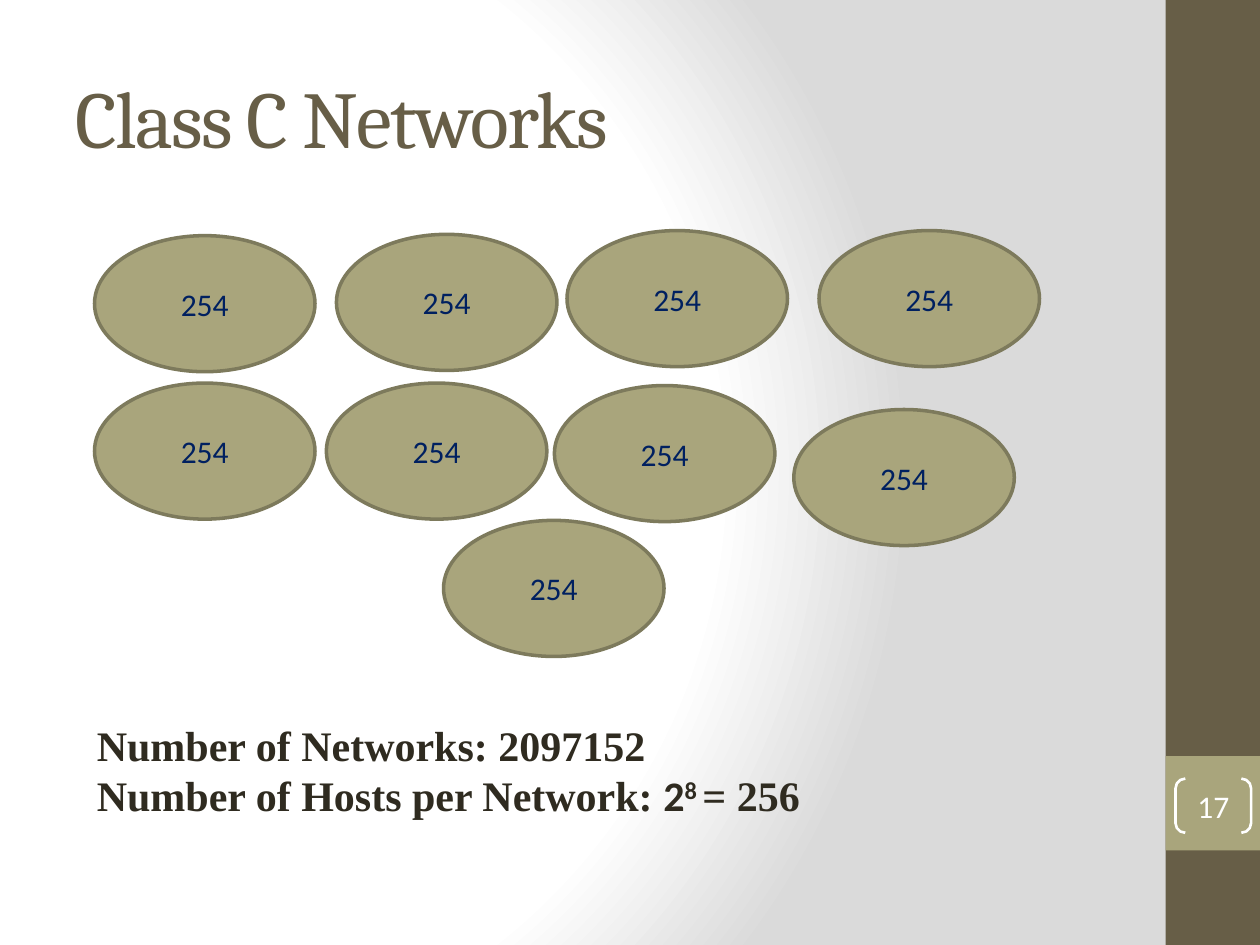
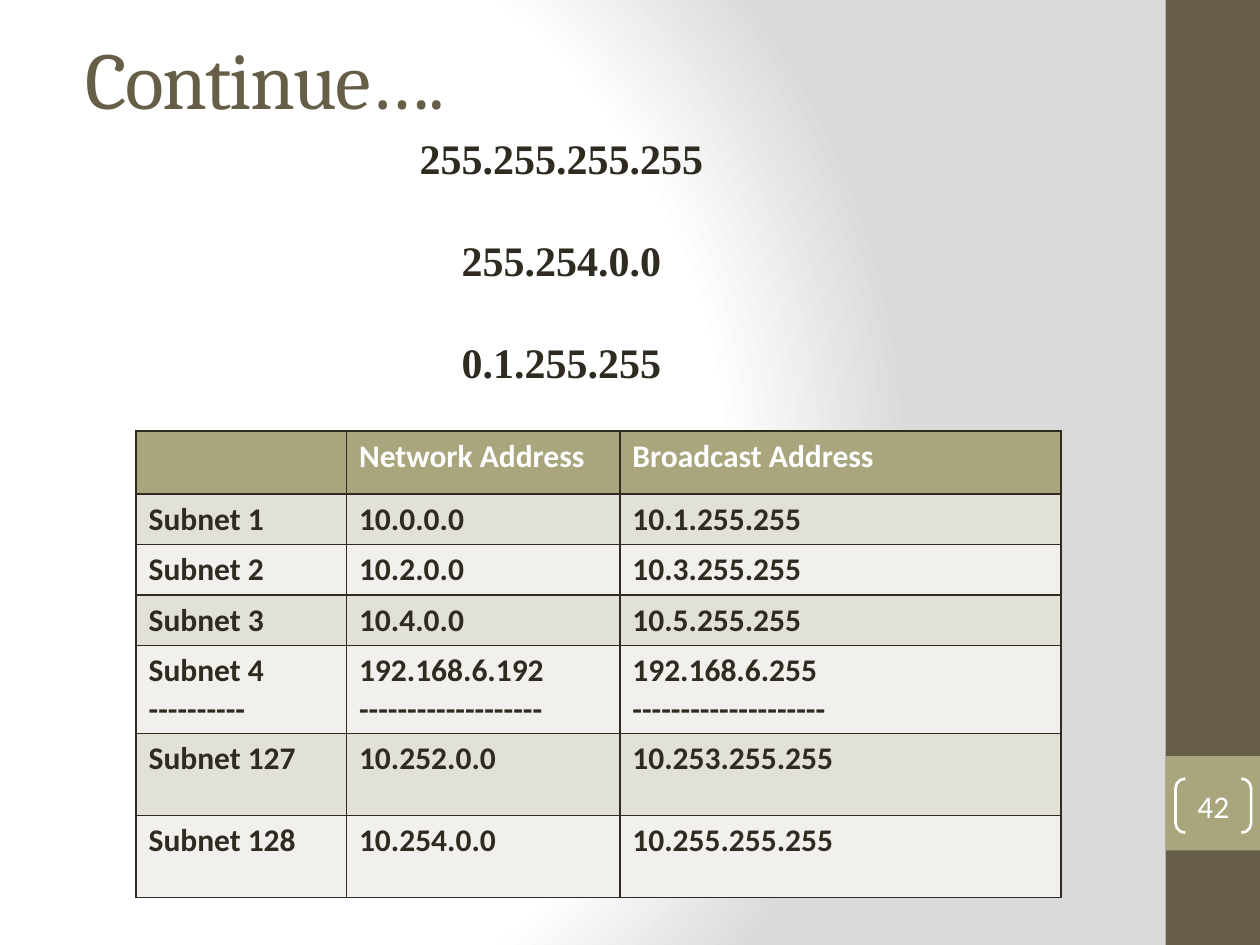
"""Builds two slides on IP classes and subnets."""
from pptx import Presentation
from pptx.dml.color import RGBColor as RGB
from pptx.enum.shapes import MSO_SHAPE as Geo
from pptx.enum.text import MSO_ANCHOR as Anchor, MSO_AUTO_SIZE as Auto, PP_ALIGN as Align
from pptx.oxml import parse_xml
from pptx.oxml.ns import nsdecls, qn
from pptx.util import Inches, Pt

BROWN = RGB(0x67, 0x5E, 0x47)
OLIVE = RGB(0xA9, 0xA5, 0x7C)
RIM = RGB(0x7D, 0x7A, 0x5C)
NAVY = RGB(0x00, 0x20, 0x60)
DARK = RGB(0x2F, 0x2B, 0x20)
WHITE = RGB(0xFF, 0xFF, 0xFF)
GREY = RGB(0xDA, 0xDA, 0xDA)
BANDS = RGB(0xE2, 0xE1, 0xD7), RGB(0xF1, 0xF0, 0xEC)
HEAD, BODY, SERIF = "Cambria", "Calibri", "Times New Roman"

STOPS = (0, WHITE), (75, WHITE), (100, GREY)
HOSTS = "254"
OVAL = 1.75, 1.08
SPOTS = [
    (0.75, 1.87), (2.67, 1.86), (4.5, 1.83), (6.5, 1.83),
    (0.75, 3.04), (2.59, 3.04), (4.4, 3.06), (6.3, 3.25),
    (3.52, 4.13),
]
FACTS = [
    [("Number of Networks: 2097152", SERIF, 0)],
    [("Number of Hosts per Network: ", SERIF, 0), ("2", BODY, 0),
     ("8 ", BODY, 30), ("= 256", SERIF, 0)],
]
MASKS = ["255.255.255.255", "255.254.0.0", "0.1.255.255"]
COLS = [1.67, 2.17, 3.5]
ROWS = [
    (0.5, "", "Network Address", "Broadcast Address"),
    (0.39, "Subnet 1", "10.0.0.0", "10.1.255.255"),
    (0.39, "Subnet 2", "10.2.0.0", "10.3.255.255"),
    (0.39, "Subnet 3", "10.4.0.0", "10.5.255.255"),
    (0.68, "Subnet 4\n----------", "192.168.6.192\n-------------------",
     "192.168.6.255\n--------------------"),
    (0.65, "Subnet 127", "10.252.0.0", "10.253.255.255"),
    (0.65, "Subnet 128", "10.254.0.0", "10.255.255.255"),
]


def style(font, size, name, color, bold=False):
    font.size, font.name, font.bold = Pt(size), name, bold
    font.color.rgb = color


def paint(master):
    """Gives the master its round gradient."""
    master.background.fill.gradient()
    old = master.element.find(".//" + qn("p:bg")).find(".//" + qn("a:gradFill"))
    stops = "".join(f'<a:gs pos="{pos * 1000}"><a:srgbClr val="{tone}"/></a:gs>'
                    for pos, tone in STOPS)
    new = parse_xml(
        f'<a:gradFill {nsdecls("a")} rotWithShape="1"><a:gsLst>{stops}</a:gsLst>'
        '<a:path path="circle"><a:fillToRect l="20000" t="50000" r="100000" b="50000"/>'
        '</a:path></a:gradFill>')
    old.getparent().replace(old, new)


def draw(slide, geo, box, fill=None, line=None, width=1):
    shape = slide.shapes.add_shape(geo, *map(Inches, box))
    shape.shadow.inherit = False
    if fill is None:
        shape.fill.background()
    else:
        shape.fill.solid()
        shape.fill.fore_color.rgb = fill
    if line is None:
        shape.line.fill.background()
    else:
        shape.line.color.rgb = line
        shape.line.width = Pt(width)
    return shape


def label(shape, text, color):
    frame = shape.text_frame
    frame.text = text
    frame.vertical_anchor = Anchor.MIDDLE
    para = frame.paragraphs[0]
    para.alignment = Align.CENTER
    style(para.runs[0].font, 18, BODY, color)


def write(slide, box):
    frame = slide.shapes.add_textbox(*map(Inches, box)).text_frame
    frame.word_wrap = True
    return frame


def start(deck, title, left, top, number):
    """Adds a slide with side band, title and number."""
    slide = deck.slides.add_slide(deck.slide_layouts[6])
    draw(slide, Geo.RECTANGLE, (9.25, 0, 0.75, 7.5), BROWN)
    draw(slide, Geo.RECTANGLE, (9.25, 6, 0.75, 0.75), OLIVE)
    frame = write(slide, (left, top, 8.33, 1.25))
    frame.text = title
    frame.vertical_anchor = Anchor.MIDDLE
    run = frame.paragraphs[0].runs[0]
    style(run.font, 46, HEAD, BROWN)
    run.font._element.set("spc", "-100")
    mark = draw(slide, Geo.DOUBLE_BRACKET, (9.33, 6.18, 0.6, 0.43), None, WHITE, 1.5)
    mark.adjustments[0] = 0.18
    frame = mark.text_frame
    frame.margin_left = frame.margin_right = frame.margin_top = frame.margin_bottom = 0
    label(mark, number, WHITE)
    return slide


def add_facts(slide):
    frame = write(slide, (0.67, 5.66, 7.5, 0.91))
    frame.auto_size = Auto.SHAPE_TO_FIT_TEXT
    for i, parts in enumerate(FACTS):
        para = frame.add_paragraph() if i else frame.paragraphs[0]
        for text, name, base in parts:
            run = para.add_run()
            run.text = text
            style(run.font, 24, name, DARK, True)
            if base:
                run.font._element.set("baseline", str(base * 1000))


def add_masks(slide):
    frame = write(slide, (2.08, 1, 4.75, 2.12))
    frame.auto_size = Auto.SHAPE_TO_FIT_TEXT
    frame.text = "\n".join(MASKS)
    for i, para in enumerate(frame.paragraphs):
        para.alignment = Align.CENTER
        para.space_before = Pt(29.5 if i else 0)
        style(para.runs[0].font, 24, SERIF, DARK, True)


def edge(cell):
    props = cell._tc.get_or_add_tcPr()
    for i, side in enumerate(("lnL", "lnR", "lnT", "lnB")):
        props.insert(i, parse_xml(
            f'<a:{side} {nsdecls("a")} w="12700"><a:solidFill>'
            f'<a:srgbClr val="{DARK}"/></a:solidFill></a:{side}>'))


def add_grid(slide):
    tall = sum(row[0] for row in ROWS)
    box = 1.08, 3.42, sum(COLS), tall
    table = slide.shapes.add_table(len(ROWS), len(COLS), *map(Inches, box)).table
    for col, width in zip(table.columns, COLS):
        col.width = Inches(width)
    for r, (high, *texts) in enumerate(ROWS):
        table.rows[r].height = Inches(high)
        for c, text in enumerate(texts):
            cell = table.cell(r, c)
            cell.fill.solid()
            cell.fill.fore_color.rgb = BANDS[(r - 1) % 2] if r else OLIVE
            edge(cell)
            cell.text_frame.text = text
            for para in cell.text_frame.paragraphs:
                for run in para.runs:
                    style(run.font, 18, BODY, DARK if r else WHITE, True)


def main():
    deck = Presentation()
    deck.slide_width, deck.slide_height = Inches(10), Inches(7.5)
    paint(deck.slide_master)

    slide = start(deck, "Class C Networks", 0.5, 0.3, "17")
    for spot in SPOTS:
        label(draw(slide, Geo.OVAL, spot + OVAL, OLIVE, RIM, 2), HOSTS, NAVY)
    add_facts(slide)

    slide = start(deck, "Continue….", 0.58, -0.01, "42")
    add_grid(slide)
    add_masks(slide)
    deck.save("out.pptx")


if __name__ == "__main__":
    main()
